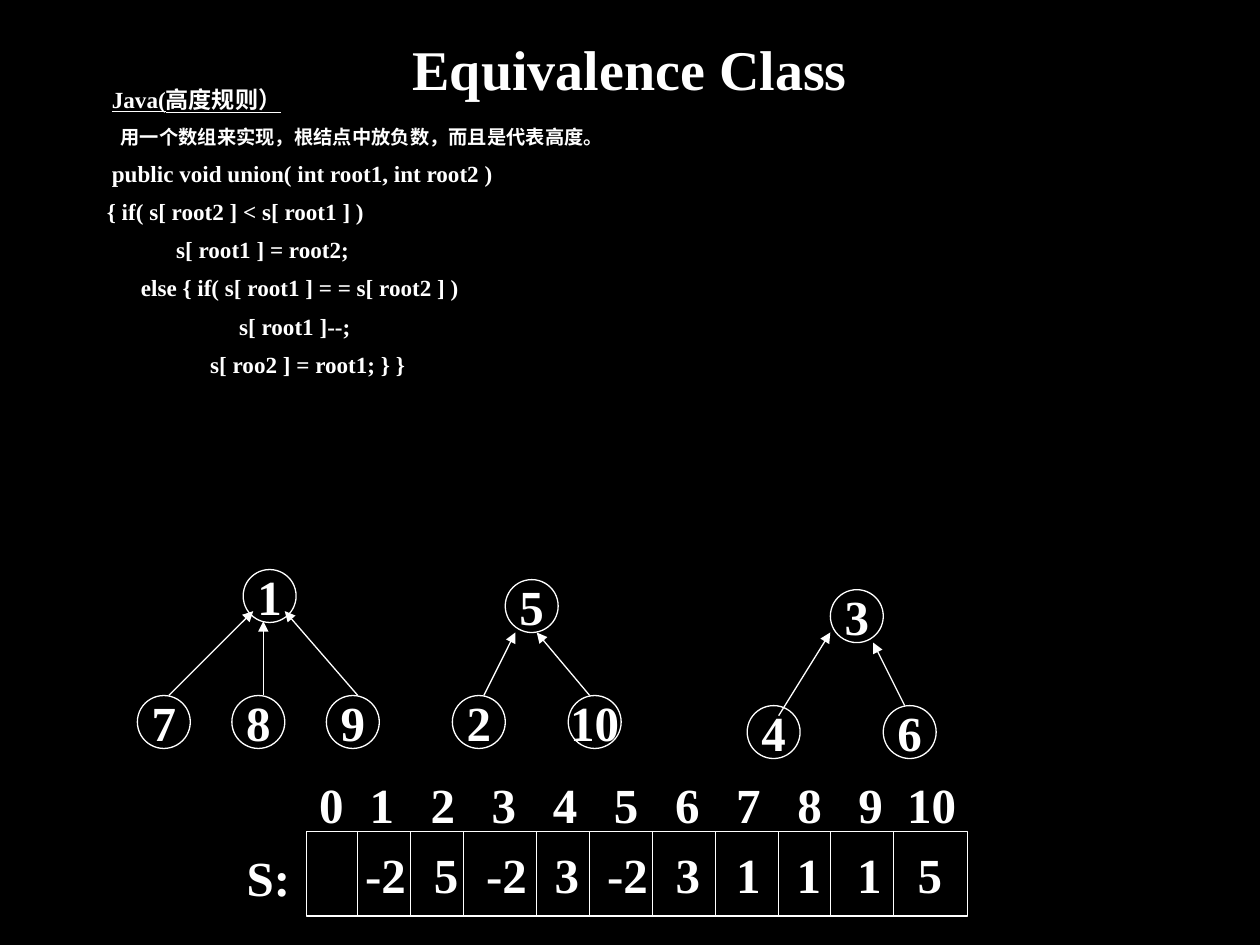
import dataclasses
import pptx
import pptx.util
import pptx.dml.color
import pptx.enum.shapes
import pptx.enum.text
import pptx.oxml
import pptx.oxml.ns
from lxml import etree

Inches = pptx.util.Inches
Pt = pptx.util.Pt
Shape = pptx.enum.shapes.MSO_SHAPE
Align = pptx.enum.text.PP_ALIGN
Anchor = pptx.enum.text.MSO_ANCHOR
qn = pptx.oxml.ns.qn


@dataclasses.dataclass(frozen=True)
class Theme:
    font: str = "Times New Roman"
    back: str = "000000"
    ink: str = "FFFFFF"
    title: float = 32
    code: float = 13.2
    note: float = 11
    node: float = 28
    rule: float = 0.74


theme = Theme()


def tint(name):
    return pptx.dml.color.RGBColor.from_string(name)


def write(para, words, size, align=Align.LEFT, line=False, left=0, gap=0):
    para.alignment = align
    para.space_before = Pt(gap)
    props = para._p.get_or_add_pPr()
    props.set("marL", str(Inches(left)))
    props.set("indent", "0")
    run = para.add_run()
    run.text = words
    font = run.font
    font.name = theme.font
    font.size = Pt(size)
    font.bold = True
    font.underline = line
    font.color.rgb = tint(theme.ink)


def add_box(slide, x, y, w, h):
    area = slide.shapes.add_textbox(Inches(x), Inches(y), Inches(w), Inches(h))
    area.text_frame.word_wrap = True
    return area.text_frame


def add_form(slide, kind, x, y, w, h):
    form = slide.shapes.add_shape(kind, Inches(x), Inches(y), Inches(w), Inches(h))
    form.shadow.inherit = False
    form.fill.background()
    form.line.color.rgb = tint(theme.ink)
    form.line.width = Pt(theme.rule)
    frame = form.text_frame
    frame.vertical_anchor = Anchor.MIDDLE
    return frame


def add_line(slide, x1, y1, x2, y2, arrow=False):
    kind = pptx.enum.shapes.MSO_CONNECTOR.STRAIGHT
    line = slide.shapes.add_connector(kind, Inches(x1), Inches(y1), Inches(x2), Inches(y2))
    line.line.color.rgb = tint(theme.ink)
    line.line.width = Pt(theme.rule)
    if arrow:
        etree.SubElement(line.line._get_or_add_ln(), qn("a:tailEnd"), type="triangle")
    etree.SubElement(line._element.spPr, qn("a:effectLst"))


def add_title(slide, x, y, w, h):
    title = slide.shapes.title
    title.left, title.top, title.width, title.height = map(Inches, (x, y, w, h))
    title.text_frame.vertical_anchor = Anchor.MIDDLE
    write(title.text_frame.paragraphs[0], "Equivalence Class", theme.title, align=Align.CENTER)


def add_code(slide, x, y, w, h):
    frame = add_box(slide, x, y, w, h)
    rows = [
        ("Java(高度规则）", 0.04, theme.code, 0),
        ("用一个数组来实现，根结点中放负数，而且是代表高度。", 0.11, theme.note, 7),
        ("public void union( int root1, int root2 )", 0.04, theme.code, 6),
        ("{ if( s[ root2 ] < s[ root1 ] )", 0, theme.code, 6),
        ("s[ root1 ] = root2;", 0.55, theme.code, 6),
        ("else { if( s[ root1 ] = = s[ root2 ] )", 0.27, theme.code, 6),
        ("s[ root1 ]--;", 1.05, theme.code, 6),
        ("s[ roo2 ] = root1; } }", 0.82, theme.code, 6),
    ]
    for i, (words, left, size, gap) in enumerate(rows):
        para = frame.add_paragraph() if i else frame.paragraphs[0]
        write(para, words, size, line=i == 0, left=left, gap=gap)


def add_tree(slide, x, y, nodes, links):
    side = 0.42
    for name, dx, dy in nodes:
        frame = add_form(slide, Shape.OVAL, x + dx, y + dy, side, side)
        frame.word_wrap = False
        write(frame.paragraphs[0], name, theme.node, align=Align.CENTER)
    for x1, y1, x2, y2 in links:
        add_line(slide, x + x1, y + y1, x + x2, y + y2, arrow=True)


def add_row(slide, x, y, step, items):
    wide = 0.6
    for i, item in enumerate(items):
        frame = add_box(slide, x + step * i - wide / 2, y, wide, 0.57)
        frame.margin_left = frame.margin_right = 0
        write(frame.paragraphs[0], str(item), theme.node, align=Align.CENTER)


def add_array(slide, x, y, w, h):
    left, top, wide, high = x + 0.57, y + 0.5, w - 0.81, h - 0.5
    add_form(slide, Shape.RECTANGLE, left, top, wide, high)
    for dx in (0.41, 0.83, 1.25, 1.83, 2.25, 2.75, 3.25, 3.75, 4.16, 4.66):
        add_line(slide, left + dx, top, left + dx, top + high)

    label = add_box(slide, x, y + 0.58, 0.57, 0.57)
    write(label.paragraphs[0], "S:", theme.node)
    add_row(slide, x + 0.77, y, 0, [0])
    add_row(slide, x + 1.17, y, 0.485, range(1, 11))
    add_row(slide, x + 1.2, y + 0.55, 0.48, [-2, 5, -2, 3, -2, 3, 1, 1, 1, 5])


def main():
    deck = pptx.Presentation()
    deck.slide_width, deck.slide_height = Inches(10), Inches(7.5)
    slide = deck.slides.add_slide(deck.slide_layouts[5])
    slide.background.fill.solid()
    slide.background.fill.fore_color.rgb = tint(theme.back)

    add_title(slide, 0.75, 0.25, 8.5, 0.58)
    add_code(slide, 0.75, 0.63, 8.5, 3.83)
    add_array(slide, 1.86, 6.1, 6.06, 1.17)
    add_tree(slide, 1.09, 4.52,
             [("1", 0.84, 0), ("7", 0, 1), ("8", 0.75, 1), ("9", 1.5, 1)],
             [(0.25, 1, 0.92, 0.33), (1, 1, 1, 0.41), (1.75, 1, 1.17, 0.33)])
    add_tree(slide, 3.59, 4.6,
             [("5", 0.42, 0), ("2", 0, 0.92), ("10", 0.92, 0.92)],
             [(0.25, 0.92, 0.5, 0.42), (1.09, 0.92, 0.67, 0.42)])
    add_tree(slide, 5.93, 4.68,
             [("3", 0.66, 0), ("4", 0, 0.92), ("6", 1.08, 0.92)],
             [(0.25, 1, 0.66, 0.34), (1.25, 0.92, 1, 0.42)])
    deck.save("out.pptx")


main()
